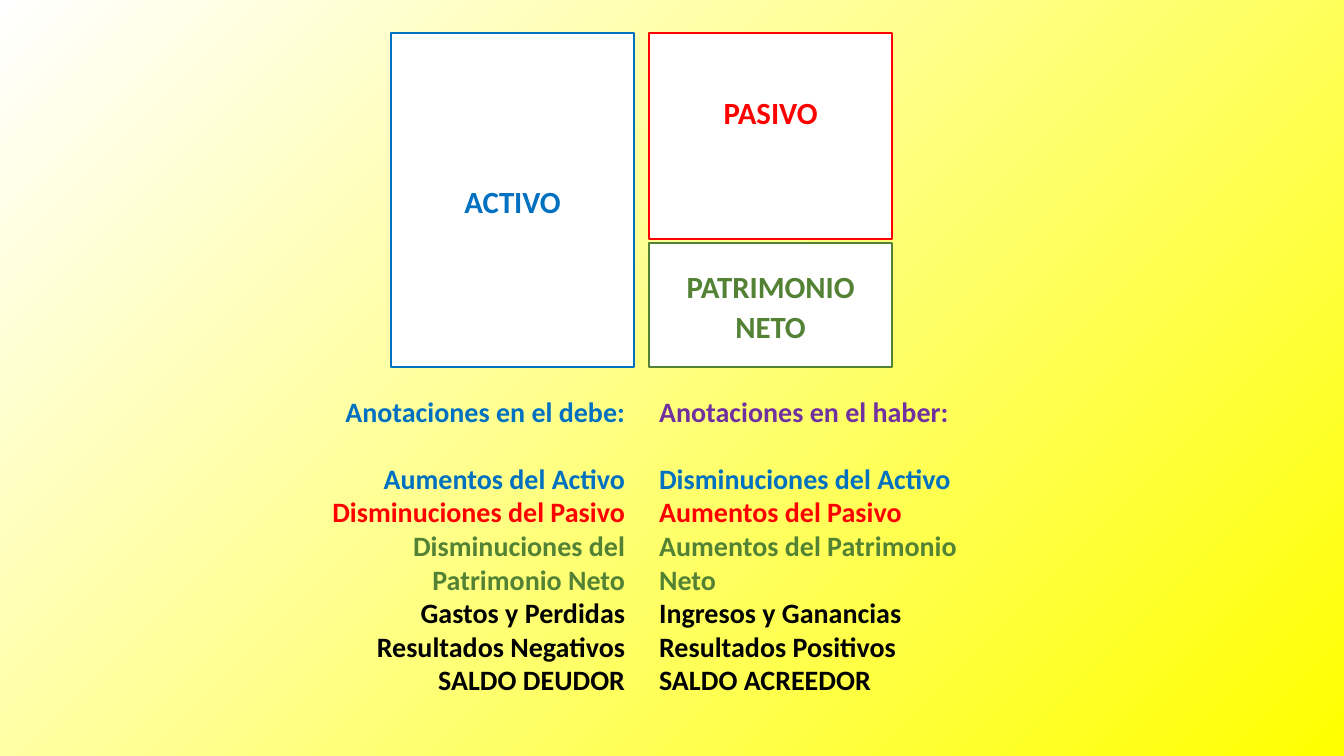
"""Build a slide on the balance sheet and its debit and credit entries."""
from lxml import etree
from pptx import Presentation
from pptx.dml.color import RGBColor
from pptx.enum.shapes import MSO_SHAPE
from pptx.enum.text import MSO_ANCHOR, MSO_AUTO_SIZE, PP_ALIGN
from pptx.oxml.ns import qn
from pptx.util import Pt

COLORS = {
    "white": "FFFFFF",
    "yellow": "FFFF00",
    "blue": "0070C0",
    "red": "FF0000",
    "green": "548235",
    "purple": "7030A0",
    "black": "000000",
}


def rgb(name):
    return RGBColor.from_string(COLORS[name])


def format_text(paragraph, size, color, align):
    paragraph.alignment = align
    for run in paragraph.runs:
        run.font.name = "Calibri"
        run.font.size = Pt(size)
        run.font.bold = True
        run.font.color.rgb = rgb(color)


prs = Presentation()
prs.slide_width, prs.slide_height = Pt(960), Pt(540)
slide = prs.slides.add_slide(prs.slide_layouts[6])

backdrop = slide.background.fill
backdrop.gradient()
for stop, color in zip(backdrop.gradient_stops, ("yellow", "white")):
    stop.color.rgb = rgb(color)
gradient = slide.background._cSld.find(".//" + qn("a:gradFill"))
gradient.remove(gradient.find(qn("a:lin")))
glow = etree.SubElement(gradient, qn("a:path"), path="circle")
etree.SubElement(glow, qn("a:fillToRect"), l="100000", t="100000")

balance_sheet = [
    ("ACTIVO", "blue", 279.4, 23.8, 238.3, 3.6),
    ("PASIVO", "red", 463.7, 23.8, 146.9, 40.3),
    ("PATRIMONIO NETO", "green", 463.7, 173.5, 88.6, 3.6),
]
for label, color, left, top, height, bottom_inset in balance_sheet:
    block = slide.shapes.add_shape(
        MSO_SHAPE.RECTANGLE, Pt(left), Pt(top), Pt(173.5), Pt(height))
    block.shadow.inherit = False
    block.fill.solid()
    block.fill.fore_color.rgb = rgb("white")
    block.line.color.rgb = rgb(color)
    block.line.width = Pt(1.5)
    frame = block.text_frame
    frame.text = label
    frame.vertical_anchor = MSO_ANCHOR.MIDDLE
    frame.margin_bottom = Pt(bottom_inset)
    caption = frame.paragraphs[0]
    caption.line_spacing = 1.07
    caption.space_after = Pt(8)
    format_text(caption, 22, color, PP_ALIGN.CENTER)

debit = [
    ("Anotaciones en el debe:", "blue"),
    ("Aumentos del Activo", "blue"),
    ("Disminuciones del Pasivo", "red"),
    ("Disminuciones del Patrimonio Neto", "green"),
    ("Gastos y Perdidas", "black"),
    ("Resultados Negativos", "black"),
    ("SALDO DEUDOR", "black"),
]
credit = [
    ("Anotaciones en el haber:", "purple"),
    ("Disminuciones del Activo", "blue"),
    ("Aumentos del Pasivo", "red"),
    ("Aumentos del Patrimonio Neto", "green"),
    ("Ingresos y Ganancias", "black"),
    ("Resultados Positivos", "black"),
    ("SALDO ACREEDOR", "black"),
]
entry_columns = [
    (debit, 208.1, 245.5, 244.8, PP_ALIGN.RIGHT),
    (credit, 463.7, 251.3, 225.4, PP_ALIGN.LEFT),
]
for entries, left, width, height, align in entry_columns:
    column = slide.shapes.add_textbox(Pt(left), Pt(277.9), Pt(width), Pt(height))
    frame = column.text_frame
    frame.word_wrap = True
    frame.auto_size = MSO_AUTO_SIZE.SHAPE_TO_FIT_TEXT
    frame.text = "\n".join(text for text, color in entries)
    for entry, (text, color) in zip(frame.paragraphs, entries):
        format_text(entry, 20, color, align)
    frame.paragraphs[0].space_after = Pt(24)

prs.save("out.pptx")
